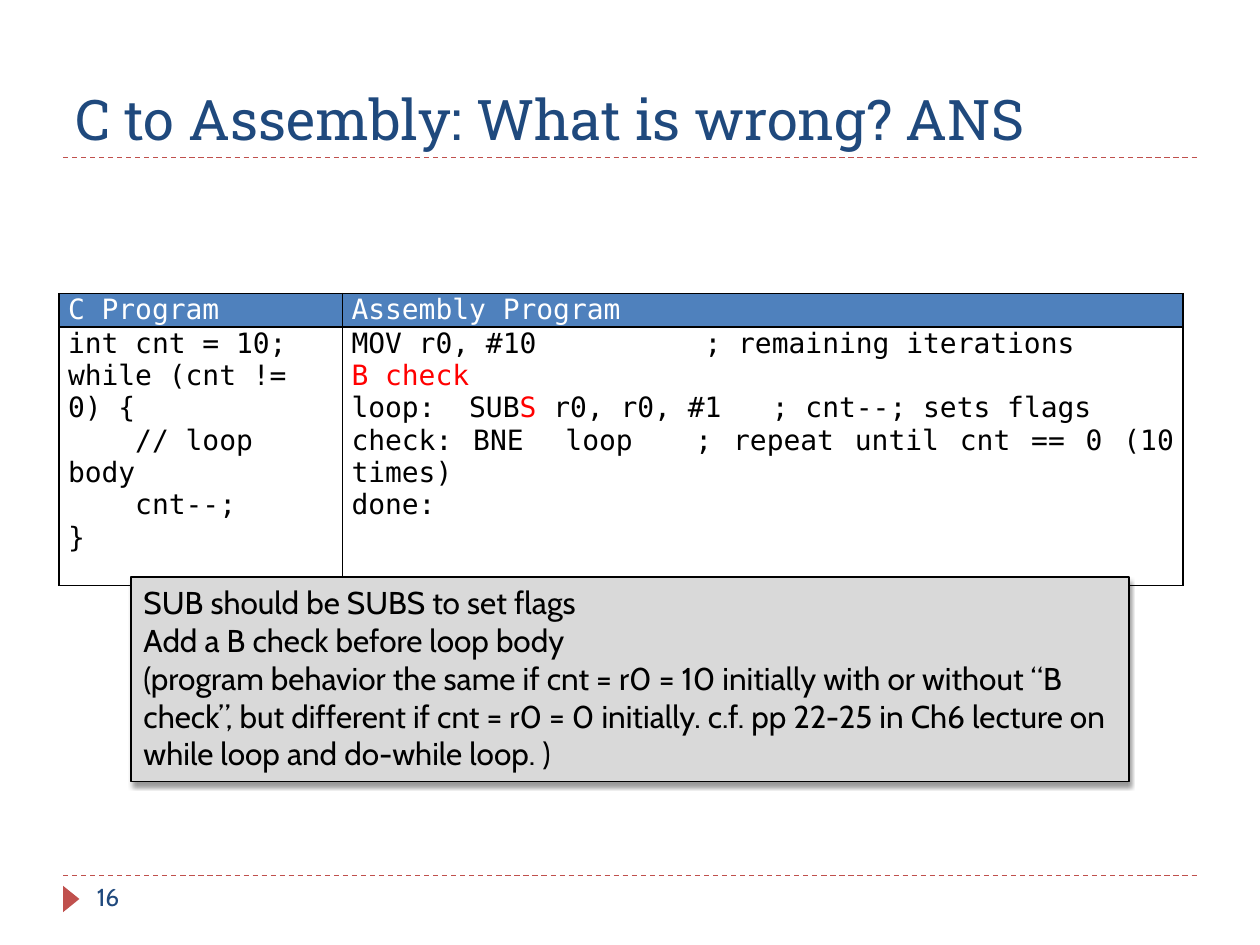
from lxml.etree import SubElement
from pptx import Presentation
from pptx.dml.color import RGBColor
from pptx.enum.dml import MSO_LINE
from pptx.enum.shapes import MSO_CONNECTOR, MSO_SHAPE
from pptx.enum.text import MSO_ANCHOR, PP_ALIGN
from pptx.oxml import parse_xml
from pptx.oxml.ns import nsdecls, qn
from pptx.util import Inches, Pt

BLACK = RGBColor(0x00, 0x00, 0x00)
WHITE = RGBColor(0xFF, 0xFF, 0xFF)
RED = RGBColor(0xFF, 0x00, 0x00)
NAVY = RGBColor(0x1F, 0x49, 0x7D)
BLUE = RGBColor(0x4F, 0x81, 0xBD)
BRICK = RGBColor(0xC0, 0x50, 0x4D)
GRAY = RGBColor(0xD9, 0xD9, 0xD9)
HEAD_FONT, BODY_FONT, CODE_FONT = "Roboto Slab", "Cabin", "DejaVu Sans Mono"

TITLE = "C to Assembly: What is wrong? ANS"
PAGE = "16"
HEADERS = ["C Program", "Assembly Program"]
C_CODE = [
    "int cnt = 10;",
    "while (cnt != 0) {",
    "    // loop body",
    "    cnt--;",
    "}",
]
ASSEMBLY = [
    "MOV r0, #10          ; remaining iterations",
    [("B check", RED)],
    [("loop:  SUB", BLACK), ("S", RED), (" r0, r0, #1   ; cnt--; sets flags", BLACK)],
    "check: BNE  loop   ; repeat until cnt == 0 (10 times)",
    "done:",
]
ANSWER = [
    "SUB should be SUBS to set flags",
    "Add a B check before loop body",
    "(program behavior the same if cnt = r0 = 10 initially with or without “B check”, "
    "but different if cnt = r0 = 0 initially. c.f. pp 22-25 in Ch6 lecture on "
    "while loop and do-while loop. )",
]
COL_WIDTHS = [2.25, 6.67]
ROW_HEIGHTS = [0.26, 2.05]


def write(tf, lines, font, size, color, align=PP_ALIGN.LEFT):
    tf.word_wrap = True
    for i, line in enumerate(lines):
        p = tf.paragraphs[0] if i == 0 else tf.add_paragraph()
        p.alignment = align
        for text, c in [(line, color)] if isinstance(line, str) else line:
            r = p.add_run()
            r.text = text
            r.font.name = font
            r.font.size = Pt(size)
            r.font.color.rgb = c


def add_text(s, box, text, font, size, anchor):
    tf = s.shapes.add_textbox(*map(Inches, box)).text_frame
    tf.vertical_anchor = anchor
    write(tf, [text], font, size, NAVY)


def add_rule(s, y):
    cx = s.shapes.add_connector(
        MSO_CONNECTOR.STRAIGHT, Inches(0.5), Inches(y), Inches(9.5), Inches(y))
    cx.line.color.rgb = BRICK
    cx.line.width = Pt(0.75)
    cx.line.dash_style = MSO_LINE.DASH
    SubElement(cx._element.spPr, qn("a:effectLst"))


def add_borders(cell):
    tcPr = cell._tc.get_or_add_tcPr()
    for i, side in enumerate(("lnL", "lnR", "lnT", "lnB")):
        tcPr.insert(i, parse_xml(
            f'<a:{side} {nsdecls("a")} w="{Pt(1)}"><a:solidFill>'
            f'<a:srgbClr val="{BLACK}"/></a:solidFill></a:{side}>'))


def add_code_table(s):
    table = s.shapes.add_table(
        2, 2, Inches(0.47), Inches(2.33),
        Inches(sum(COL_WIDTHS)), Inches(sum(ROW_HEIGHTS))).table
    for col, width in zip(table.columns, COL_WIDTHS):
        col.width = Inches(width)
    for row, height in zip(table.rows, ROW_HEIGHTS):
        row.height = Inches(height)
    rows = [[[h] for h in HEADERS], [C_CODE, ASSEMBLY]]
    for i, row in enumerate(rows):
        for j, lines in enumerate(row):
            cell = table.cell(i, j)
            cell.margin_left = cell.margin_right = Inches(0.07)
            cell.margin_top = cell.margin_bottom = 0
            if i == 0:
                cell.fill.solid()
                cell.fill.fore_color.rgb = BLUE
            else:
                cell.fill.background()
            align = PP_ALIGN.LEFT if lines is C_CODE else PP_ALIGN.JUSTIFY
            write(cell.text_frame, lines, CODE_FONT, 16, BLACK if i else WHITE, align)
            add_borders(cell)


def add_answer(s):
    sp = s.shapes.add_shape(
        MSO_SHAPE.RECTANGLE, Inches(1.04), Inches(4.58), Inches(7.92), Inches(1.62))
    sp.fill.solid()
    sp.fill.fore_color.rgb = GRAY
    sp.line.color.rgb = BLACK
    sp.line.width = Pt(0.75)
    sp._element.spPr.append(parse_xml(
        f'<a:effectLst {nsdecls("a")}><a:outerShdw blurRad="{Pt(3)}" dist="{Pt(2)}" '
        f'dir="5400000" rotWithShape="0"><a:srgbClr val="{BLACK}">'
        '<a:alpha val="40000"/></a:srgbClr></a:outerShdw></a:effectLst>'))
    sp.text_frame.vertical_anchor = MSO_ANCHOR.TOP
    write(sp.text_frame, ANSWER, BODY_FONT, 18, BLACK)


def add_page_marker(s):
    sp = s.shapes.add_shape(
        MSO_SHAPE.ISOSCELES_TRIANGLE, Inches(0.46), Inches(7.07), Inches(0.21), Inches(0.13))
    sp.rotation = 90
    sp.fill.solid()
    sp.fill.fore_color.rgb = BRICK
    sp.line.fill.background()
    sp.shadow.inherit = False


def main():
    prs = Presentation()
    prs.slide_width, prs.slide_height = Inches(10), Inches(7.5)
    s = prs.slides.add_slide(prs.slide_layouts[6])
    for y in (6.95, 1.25):
        add_rule(s, y)
    add_page_marker(s)
    add_text(s, (0.5, 0.17, 9, 1.08), TITLE, HEAD_FONT, 32, MSO_ANCHOR.BOTTOM)
    add_text(s, (0.67, 6.95, 2.17, 0.4), PAGE, BODY_FONT, 14, MSO_ANCHOR.TOP)
    add_code_table(s)
    add_answer(s)
    prs.save("out.pptx")


if __name__ == "__main__":
    main()
